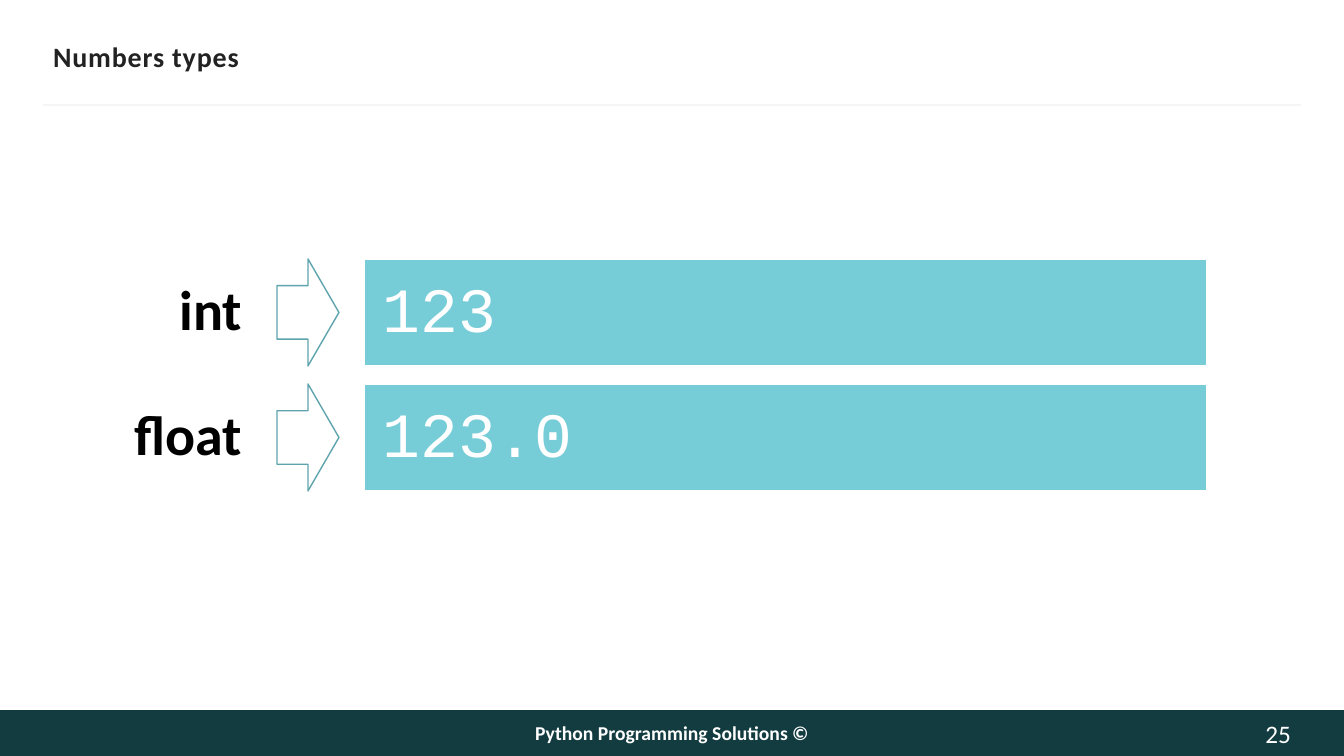
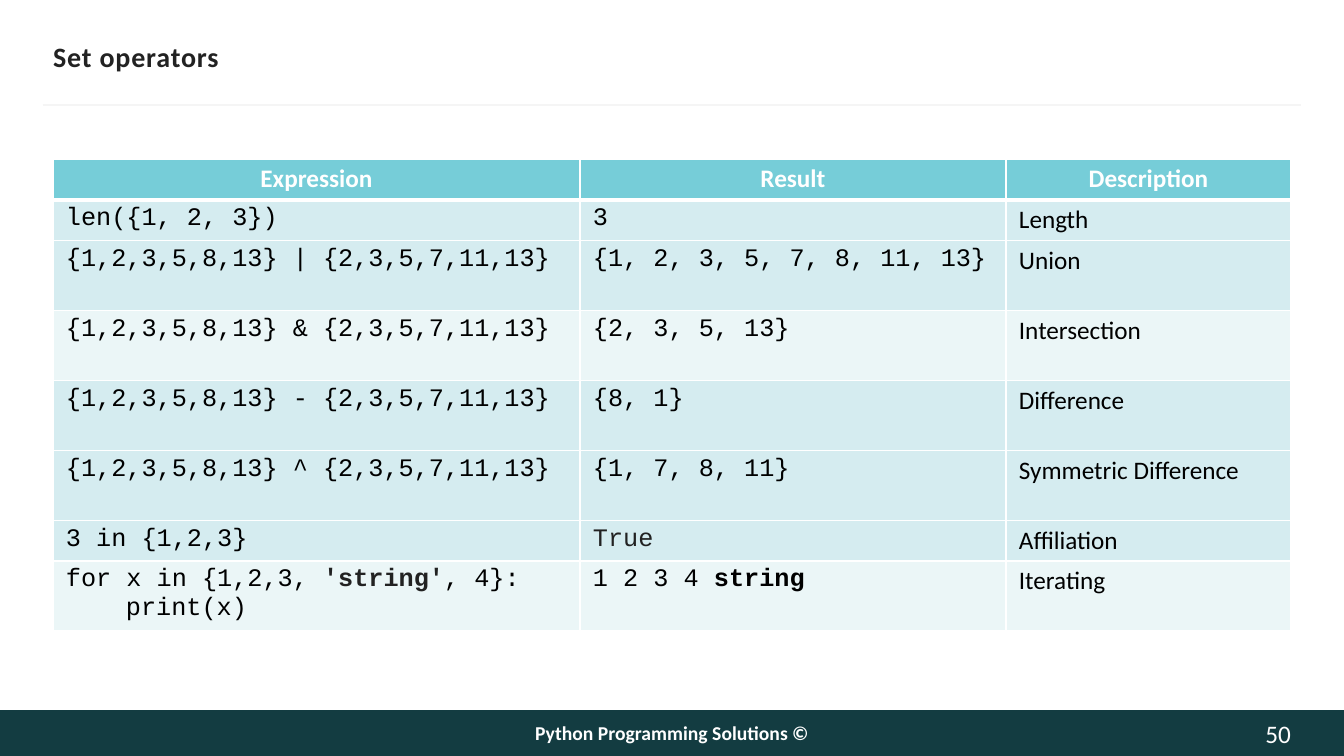
from lxml import etree
from pptx import Presentation
from pptx import util as u
from pptx.dml.color import RGBColor
from pptx.enum import shapes, text
from pptx.oxml.ns import qn

EMU_PER_PX = 914400 / 100.8
SLIDE_WIDTH, SLIDE_HEIGHT = 1344, 756
WHITE, BLACK, INK = "FFFFFF", "000000", "222222"
TEAL, DARK_TEAL, ARROW_TEAL = "76CDD8", "133C41", "5EA4AD"
PALE, PALEST, RULE_GREY = "D5ECF0", "EBF6F7", "F5F5F5"

SANS = {"name": "Calibri"}
CODE = {"name": "Courier New"}
TITLE = SANS | {"size": u.Pt(20), "bold": True, "color": INK}
FOOTER = SANS | {"size": u.Pt(14), "bold": True, "color": WHITE}
PAGE_NUMBER = SANS | {"size": u.Pt(18), "color": "FEFEFE"}
TYPE_NAME = SANS | {"size": u.Pt(40), "bold": True, "color": BLACK}
TYPE_VALUE = CODE | {"size": u.Pt(45), "color": WHITE}
TABLE_HEAD = SANS | {"size": u.Pt(18), "bold": True, "color": WHITE}
TABLE_TEXT = SANS | {"size": u.Pt(18), "bold": False, "color": BLACK}
TABLE_CODE = TABLE_TEXT | CODE
CODE_INDENT = 60

FOOTER_TEXT = "Python Programming Solutions ©"
NUMBER_TYPES = [("int", "123"), ("float", "123.0")]
COLUMN_WIDTHS = [527, 426, 285]
SHORT_ROW, TALL_ROW = 40, 70
HEADINGS = ["Expression", "Result", "Description"]
# A cell is a string or a list of (text, format changes) runs.
OPERATORS = [
    (SHORT_ROW, PALE, "len({1, 2, 3})", "3", "Length"),
    (TALL_ROW, PALE, "{1,2,3,5,8,13} | {2,3,5,7,11,13}",
     "{1, 2, 3, 5, 7, 8, 11, 13}", "Union"),
    (TALL_ROW, PALEST, "{1,2,3,5,8,13} & {2,3,5,7,11,13}",
     "{2, 3, 5, 13}", "Intersection"),
    (TALL_ROW, PALE, "{1,2,3,5,8,13} - {2,3,5,7,11,13}",
     "{8, 1}", "Difference"),
    (TALL_ROW, PALE, "{1,2,3,5,8,13} ^ {2,3,5,7,11,13}",
     "{1, 7, 8, 11}", "Symmetric Difference"),
    (SHORT_ROW, PALE, "3 in {1,2,3}", [("True", {"color": INK})], "Affiliation"),
    (TALL_ROW, PALEST,
     [("for x in {1,2,3, ", {}), ("'string'", {"bold": True, "color": INK}),
      (", 4}:", {})],
     [("1 2 3 4 ", {}), ("string", {"bold": True})], "Iterating"),
]
LOOP_BODY = "print(x)"


def px(length):
    return u.Emu(round(length * EMU_PER_PX))


def rgb(color):
    return RGBColor.from_string(color)


def set_attributes(target, values):
    for name, value in values.items():
        setattr(target, name, value)


def place(shape, left, top, width, height):
    set_attributes(shape, {"left": px(left), "top": px(top),
                           "width": px(width), "height": px(height)})


def write(paragraph, content, style, align=text.PP_ALIGN.LEFT):
    """Fill a paragraph with a string or with a list of formatted runs."""
    paragraph.alignment = align
    for words, changes in [(content, {})] if isinstance(content, str) else content:
        run = paragraph.add_run()
        run.text = words
        values = style | changes
        run.font.color.rgb = rgb(values.pop("color"))
        set_attributes(run.font, values)


def set_frame(shape, side_inset=0, end_inset=0):
    frame = shape.text_frame
    set_attributes(frame, {
        "word_wrap": True, "auto_size": text.MSO_AUTO_SIZE.NONE,
        "vertical_anchor": text.MSO_ANCHOR.MIDDLE,
        "margin_left": px(side_inset), "margin_right": px(side_inset),
        "margin_top": px(end_inset), "margin_bottom": px(end_inset)})
    return frame.paragraphs[0]


def add_text(slide, box, content, style, align, side_inset=0):
    shape = slide.shapes.add_textbox(*map(px, box))
    paragraph = set_frame(shape, side_inset)
    write(paragraph, content, style, align)
    return paragraph


def add_shape(slide, kind, box, fill=None, line=None):
    shape = slide.shapes.add_shape(kind, *map(px, box))
    shape.shadow.inherit = False
    if fill:
        shape.fill.solid()
        shape.fill.fore_color.rgb = rgb(fill)
    else:
        shape.fill.background()
    if line:
        shape.line.color.rgb = rgb(line)
        shape.line.width = u.Pt(1)
    else:
        shape.line.fill.background()
    return shape


def add_slide(presentation, title, page_number):
    """Add a slide with the shared title, rule and footer band."""
    slide = presentation.slides.add_slide(presentation.slide_layouts[5])
    place(slide.shapes.title, 53, 34, 1238, 44)
    paragraph = set_frame(slide.shapes.title, end_inset=5)
    write(paragraph, title, TITLE)
    paragraph.runs[0].font._element.set("spc", "60")

    rule = slide.shapes.add_connector(
        shapes.MSO_CONNECTOR.STRAIGHT, px(43), px(105), px(1301), px(105))
    rule.line.color.rgb = rgb(RULE_GREY)
    rule.line.width = u.Pt(1.5)
    etree.SubElement(rule._element.spPr, qn("a:effectLst"))

    band_top, band_height = 710, 46
    add_shape(slide, shapes.MSO_SHAPE.RECTANGLE,
              (0, band_top, SLIDE_WIDTH, band_height), DARK_TEAL)
    add_text(slide, (353, band_top, 638, band_height), FOOTER_TEXT, FOOTER,
             text.PP_ALIGN.CENTER)
    add_text(slide, (1225, band_top, 66, band_height), page_number, PAGE_NUMBER,
             text.PP_ALIGN.RIGHT)
    return slide


def add_number_types(slide):
    top, height, step = 259, 107, 125
    for index, (name, value) in enumerate(NUMBER_TYPES):
        row_top = top + index * step
        bar = add_shape(slide, shapes.MSO_SHAPE.RECTANGLE,
                        (364, row_top, 843, height), TEAL, WHITE)
        value_paragraph = set_frame(bar, 19, 19)
        write(value_paragraph, value, TYPE_VALUE)
        add_shape(slide, shapes.MSO_SHAPE.RIGHT_ARROW,
                  (277, row_top, 62, height), line=ARROW_TEAL)
        name_paragraph = add_text(slide, (0, row_top, 277, height), name, TYPE_NAME,
                                  text.PP_ALIGN.RIGHT, side_inset=35)
        for paragraph in (value_paragraph, name_paragraph):
            paragraph.line_spacing = 0.9


def set_borders(cell, widths):
    """Draw white borders; widths gives points for left, right, top, bottom."""
    properties = cell._tc.get_or_add_tcPr()
    for index, (side, width) in enumerate(zip("LRTB", widths)):
        line = etree.Element(qn(f"a:ln{side}"), w=str(u.Pt(width)))
        fill = etree.SubElement(line, qn("a:solidFill"))
        etree.SubElement(fill, qn("a:srgbClr"), val=WHITE)
        properties.insert(index, line)


def add_operator_table(slide):
    rows = [(SHORT_ROW, TEAL, *HEADINGS)] + OPERATORS
    table = slide.shapes.add_table(
        len(rows), len(COLUMN_WIDTHS), px(53), px(159),
        px(sum(COLUMN_WIDTHS)), px(sum(row[0] for row in rows))).table
    for column, width in zip(table.columns, COLUMN_WIDTHS):
        column.width = px(width)

    thin, thick = 0.96, 3
    for row_index, (height, fill, *contents) in enumerate(rows):
        table.rows[row_index].height = px(height)
        styles = [TABLE_CODE, TABLE_CODE, TABLE_TEXT] if row_index else [TABLE_HEAD] * 3
        align = text.PP_ALIGN.LEFT if row_index else text.PP_ALIGN.CENTER
        for column_index, (content, style) in enumerate(zip(contents, styles)):
            cell = table.cell(row_index, column_index)
            set_attributes(cell, {"margin_left": px(13), "margin_right": px(13),
                                  "margin_top": px(5), "margin_bottom": px(5)})
            cell.fill.solid()
            cell.fill.fore_color.rgb = rgb(fill)
            set_borders(cell, (thin, thin, thick if row_index == 1 else thin,
                               thick if row_index == 0 else thin))
            write(cell.text_frame.paragraphs[0], content, style, align)

    loop_body = table.cell(len(rows) - 1, 0).text_frame.add_paragraph()
    write(loop_body, LOOP_BODY, TABLE_CODE)
    loop_body._p.get_or_add_pPr().set("marL", str(px(CODE_INDENT)))


def main():
    presentation = Presentation()
    presentation.slide_width = px(SLIDE_WIDTH)
    presentation.slide_height = px(SLIDE_HEIGHT)
    add_number_types(add_slide(presentation, "Numbers types", "25"))
    add_operator_table(add_slide(presentation, "Set operators", "50"))
    presentation.save("out.pptx")


if __name__ == "__main__":
    main()
